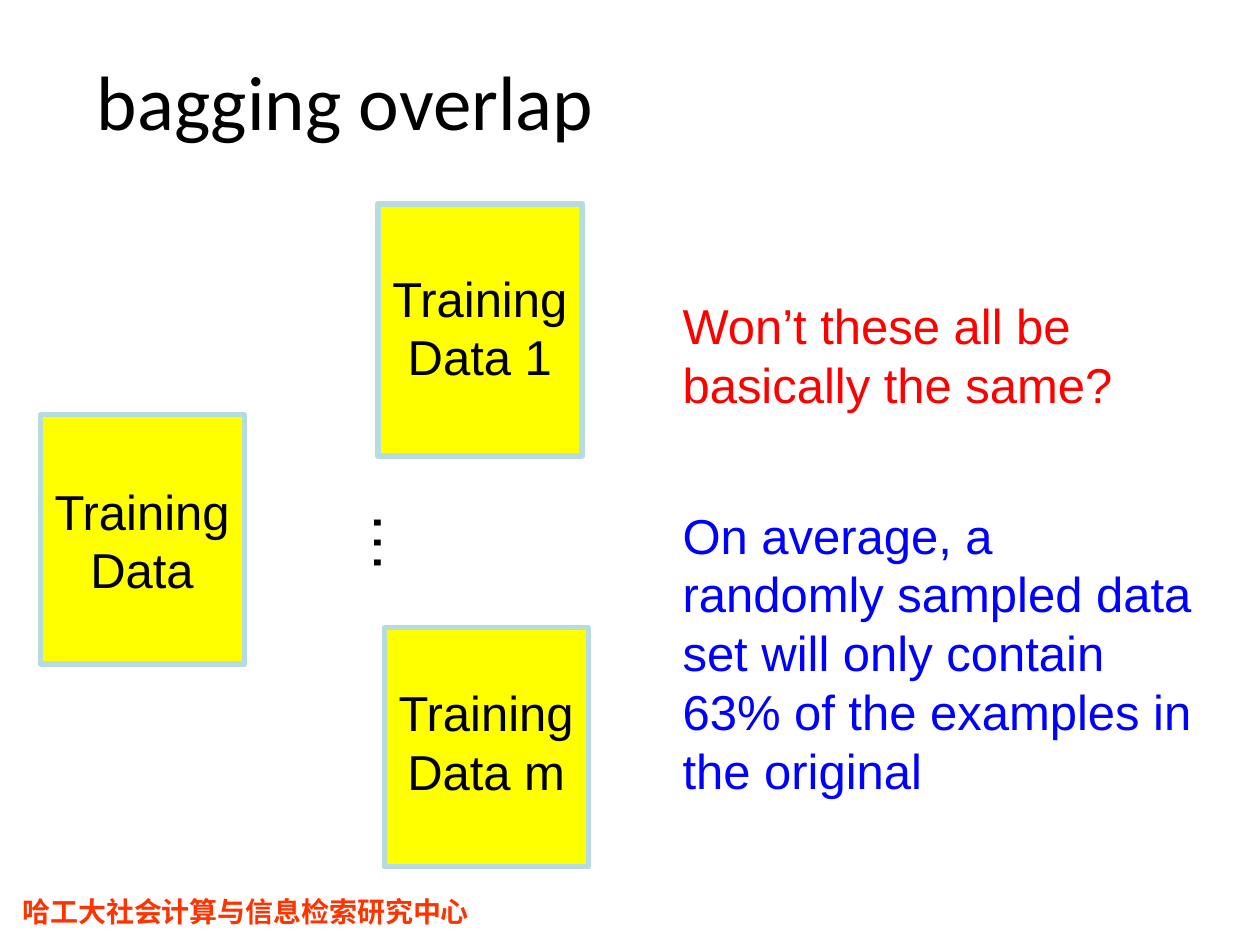
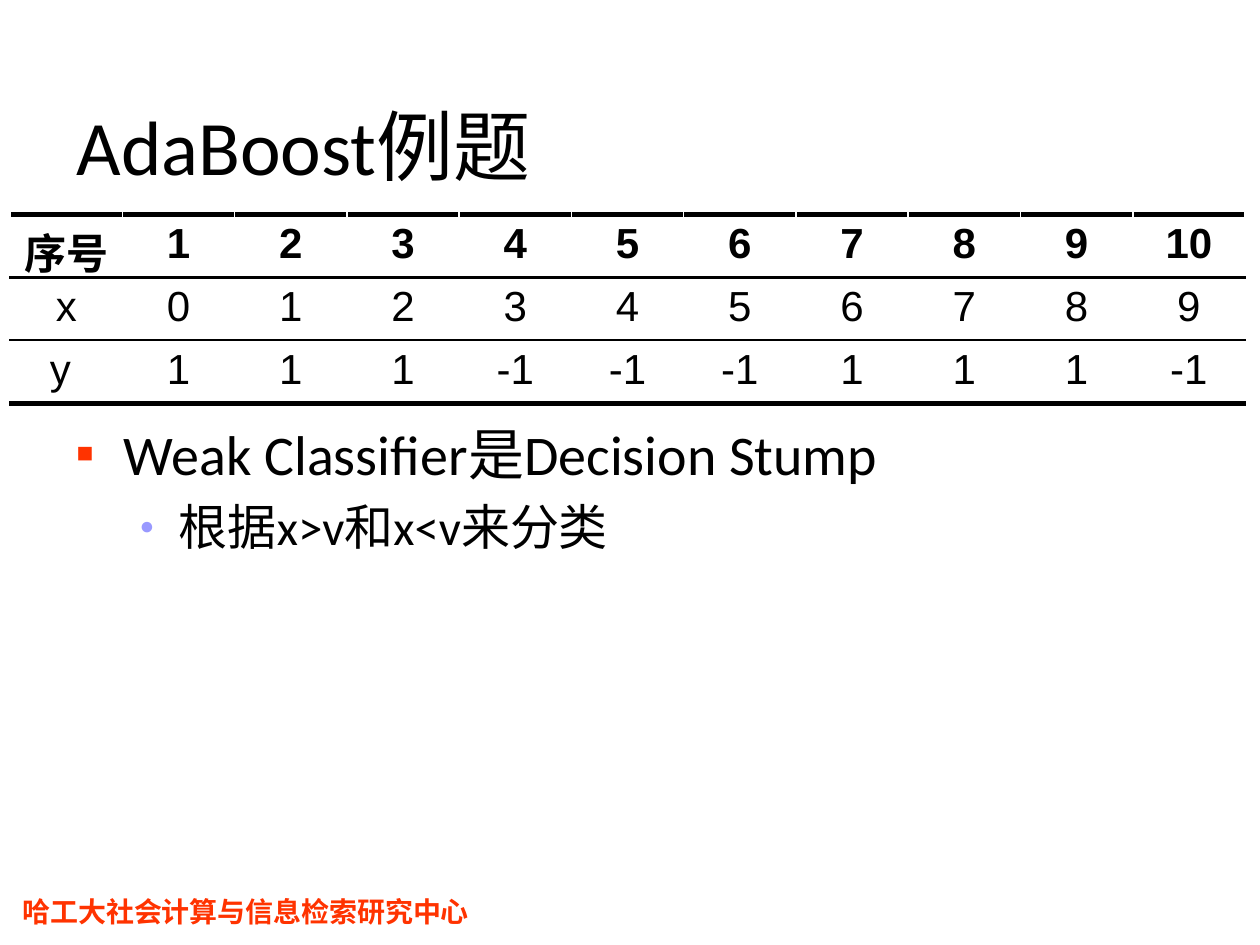
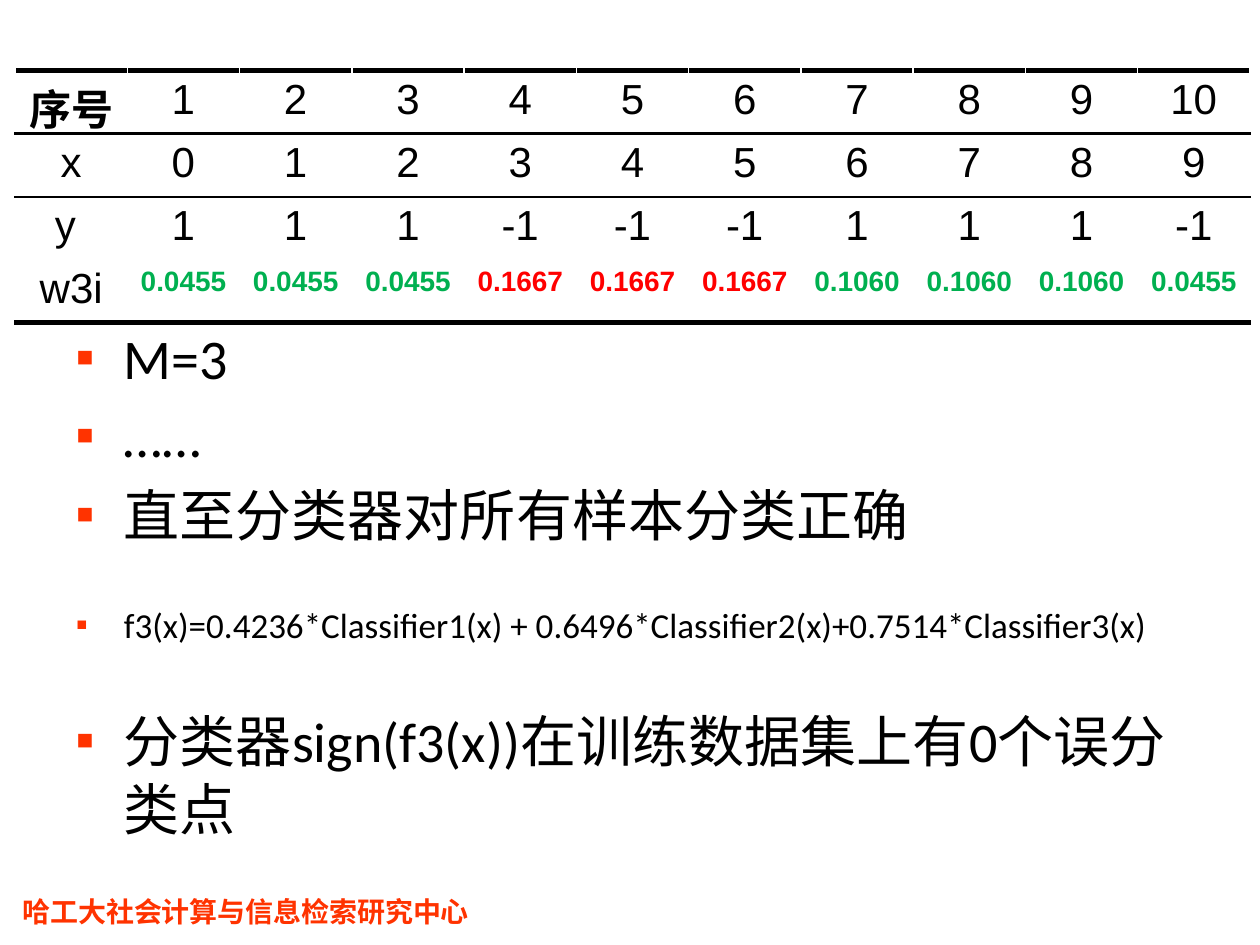
import pptx
import pptx.util
import pptx.dml.color
import pptx.enum.shapes
import pptx.enum.text
import pptx.oxml
import pptx.oxml.ns
import lxml.etree

Pt = pptx.util.Pt
Align = pptx.enum.text.PP_ALIGN
Fit = pptx.enum.text.MSO_AUTO_SIZE

BLACK, WHITE, RED, BLUE = "000000", "FFFFFF", "FF0000", "0000FF"
GREEN, YELLOW, TEAL = "00B050", "FFFF00", "B6DCDF"
ORANGE, LILAC = "FF3300", "9999FF"
SANS, HEAD, SERIF = "Arial", "Calibri", "Times New Roman"


def color(code):
    return pptx.dml.color.RGBColor.from_string(code)


def child(node, tag, **attrs):
    return lxml.etree.SubElement(node, pptx.oxml.ns.qn(tag), attrs)


class Deck:
    """Shared style and the current slide."""

    def __init__(self):
        self.file = pptx.Presentation()
        self.file.slide_width, self.file.slide_height = Pt(720), Pt(540)
        self.slide = None

    # New slide with the shared footer
    def page(self):
        self.slide = self.file.slides.add_slide(self.file.slide_layouts[6])
        self.text((5.8, 507.6, 283.7, 26.6), ["哈工大社会计算与信息检索研究中心"],
                  16, SERIF, ORANGE, bold=True)

    def style(self, par, size, face=SANS, tint=BLACK, bold=False):
        font = par.font
        font.size, font.name, font.bold = Pt(size), face, bold
        font.color.rgb = color(tint)

    def frame(self, box, fit=Fit.SHAPE_TO_FIT_TEXT, wrap=True):
        shape = self.slide.shapes.add_textbox(*map(Pt, box))
        shape.text_frame.word_wrap = wrap
        shape.text_frame.auto_size = fit
        return shape

    # Plain text, one paragraph a line
    def text(self, box, lines, size, face=SANS, tint=BLACK, bold=False,
             align=Align.LEFT, wrap=True, turn=0):
        shape = self.frame(box, wrap=wrap)
        shape.rotation = turn
        shape.text_frame.text = "\n".join(lines)
        for par in shape.text_frame.paragraphs:
            par.alignment = align
            self.style(par, size, face, tint, bold)
        return shape

    def title(self, box, words):
        shape = self.text(box, [words], 44, HEAD)
        shape.text_frame.auto_size = Fit.NONE
        shape.text_frame.vertical_anchor = pptx.enum.text.MSO_ANCHOR.MIDDLE

    # Yellow data card with a caption of two lines
    def card(self, left, top, height, shift, name):
        kind = pptx.enum.shapes.MSO_SHAPE.RECTANGLE
        rect = self.slide.shapes.add_shape(
            kind, Pt(left), Pt(top), Pt(116.6), Pt(height))
        rect.shadow.inherit = False
        rect.fill.solid()
        rect.fill.fore_color.rgb = color(YELLOW)
        rect.line.color.rgb = color(TEAL)
        rect.line.width = Pt(3)
        self.text((left - 0.5, top + shift, 117.4, 74.9),
                  ["Training", name], 28, align=Align.CENTER)

    # Bullet list; each item is (words, level, size, space before)
    def body(self, inset, items):
        frame = self.frame((36.7, 145.4, 648, 356.4), Fit.NONE).text_frame
        frame.margin_top = Pt(inset)
        for num, (words, level, size, gap) in enumerate(items):
            par = frame.add_paragraph() if num else frame.paragraphs[0]
            par.text, par.level, par.space_before = words, level, Pt(gap)
            tint, mark, left, hang = [(ORANGE, "■", 27, -27),
                                      (LILAC, "●", 58.5, -22.5)][level]
            props = par._p.get_or_add_pPr()
            props.set("marL", str(Pt(left)))
            props.set("indent", str(Pt(hang)))
            child(child(props, "a:buClr"), "a:srgbClr", val=tint)
            child(props, "a:buSzPct", val="50000")
            child(props, "a:buFont", typeface=SANS)
            child(props, "a:buChar", char=mark)
            self.style(par, size, HEAD)

    def border(self, cell, side, tint, width):
        line = child(cell._tc.get_or_add_tcPr(), "a:ln" + side,
                     w=str(Pt(width)))
        child(child(line, "a:solidFill"), "a:srgbClr", val=tint)

    # Table; rules are the lines above, between and below the rows
    def table(self, left, top, rows, rules, look):
        cols, tall = len(rows[0]), 29.5
        grid = self.slide.shapes.add_table(
            len(rows), cols, Pt(left), Pt(top),
            Pt(64.15 * cols), Pt(tall * len(rows))).table
        grid.first_row = grid.horz_banding = False
        for r, row in enumerate(rows):
            for c, words in enumerate(row):
                cell = grid.cell(r, c)
                cell.text = words
                par = cell.text_frame.paragraphs[0]
                par.alignment = Align.CENTER
                self.style(par, **look(r, c, words))
                for side in "LR":
                    self.border(cell, side, WHITE, 1)
                self.border(cell, "T", *rules[r])
                self.border(cell, "B", *rules[r + 1])
                cell.fill.background()


# Sample data shared by both tables
INDEX = ["序号"] + [str(n) for n in range(1, 11)]
XS = ["x"] + [str(n) for n in range(10)]
YS = ["y "] + ["1"] * 3 + ["-1"] * 3 + ["1"] * 3 + ["-1"]
WEIGHTS = (["w3i"] + ["0.0455"] * 3 + ["0.1667"] * 3
           + ["0.1060"] * 3 + ["0.0455"])
THICK, MID, THIN, NONE = (BLACK, 3), (BLACK, 2.25), (BLACK, 1.5), (WHITE, 1)


def plain(r, c, words):
    return {"size": 24, "bold": r == 0}


def weighted(r, c, words):
    if r == 3 and c:
        tint = RED if words == "0.1667" else GREEN
        return {"size": 16, "bold": True, "tint": tint}
    return {"size": 24, "bold": r == c == 0}


def main():
    deck = Deck()

    # Slide 1: bagging
    deck.page()
    deck.title((48.2, 18, 642.2, 77.8), "bagging overlap")
    deck.text((202.3, 285.1, 51.1, 51.1), ["…"], 36, wrap=False, turn=90)
    deck.card(216, 116.6, 144, 33.1, "Data 1")
    deck.card(219.6, 358.6, 136.8, 28, "Data m")
    deck.card(23, 236.9, 142.6, 34.5, "Data")
    deck.text((383, 165.6, 307.4, 74.9),
              ["Won’t these all be basically the same?"], 28, tint=RED)
    deck.text((383, 285.1, 307.4, 143.3),
              ["On average, a randomly sampled data set will only contain "
               "63% of the examples in the original"], 28, tint=BLUE)

    # Slide 2: boosting example
    deck.page()
    deck.title((36.7, 37.4, 648, 90), "AdaBoost例题")
    deck.body(94.4, [("Weak Classifier是Decision Stump", 0, 32, 0),
                     ("根据x>v和x<v来分类", 1, 28, 5.6)])
    deck.table(5.8, 122.4, [INDEX, XS, YS], [THICK, MID, THIN, THICK], plain)

    # Slide 3: third round
    deck.page()
    deck.body(39.3, [
        ("M=3", 0, 32, 0),
        ("……", 0, 32, 6.4),
        ("直至分类器对所有样本分类正确", 0, 32, 6.4),
        ("f3(x)=0.4236*Classifier1(x) + 0.6496*Classifier2(x)"
         "+0.7514*Classifier3(x)", 0, 20, 32.4),
        ("分类器sign(f3(x))在训练数据集上有0个误分类点", 0, 32, 34.8)])
    deck.table(8.6, 40.3, [INDEX, XS, YS, WEIGHTS],
               [THICK, MID, THIN, NONE, THICK], weighted)

    deck.file.save("out.pptx")


if __name__ == "__main__":
    main()
